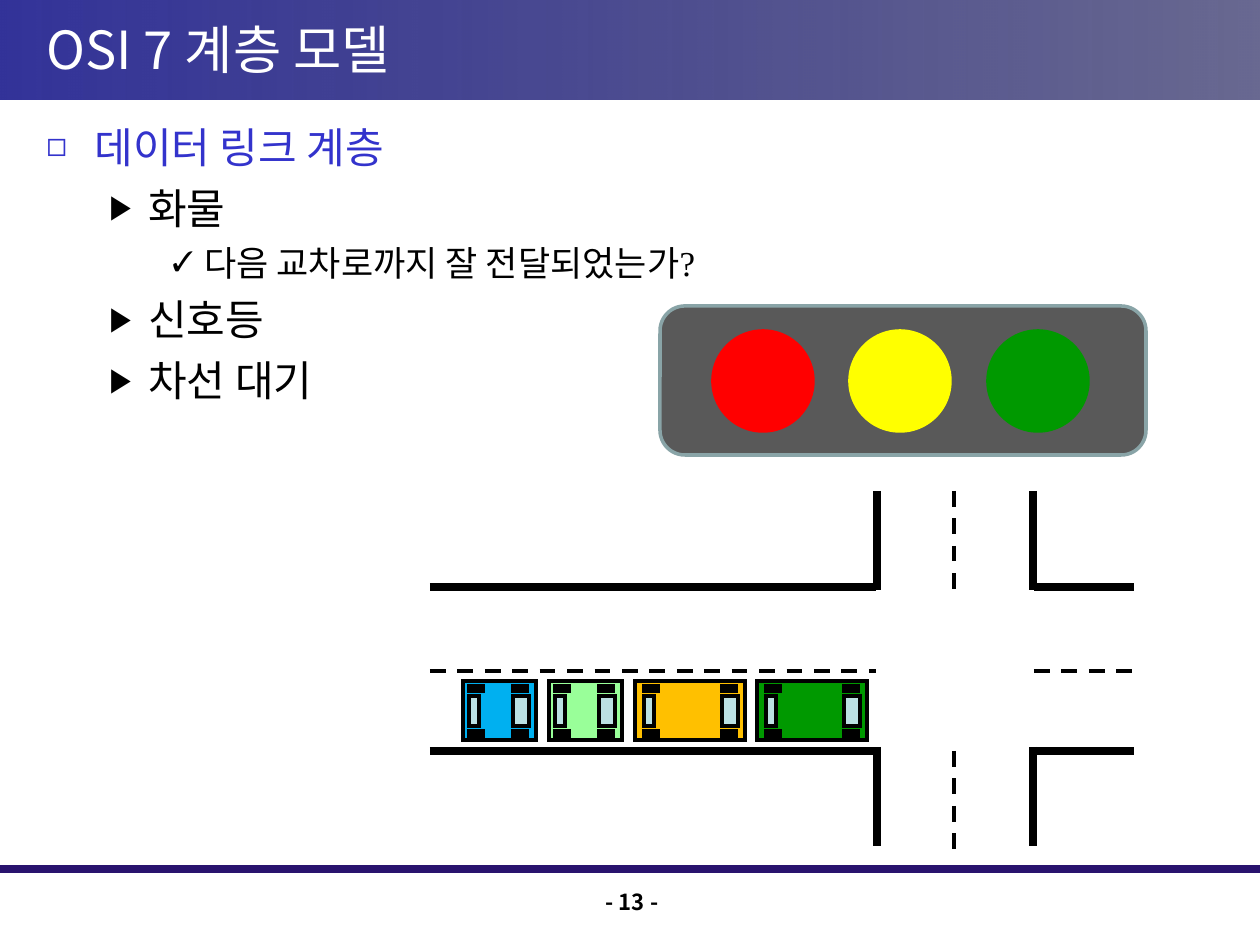
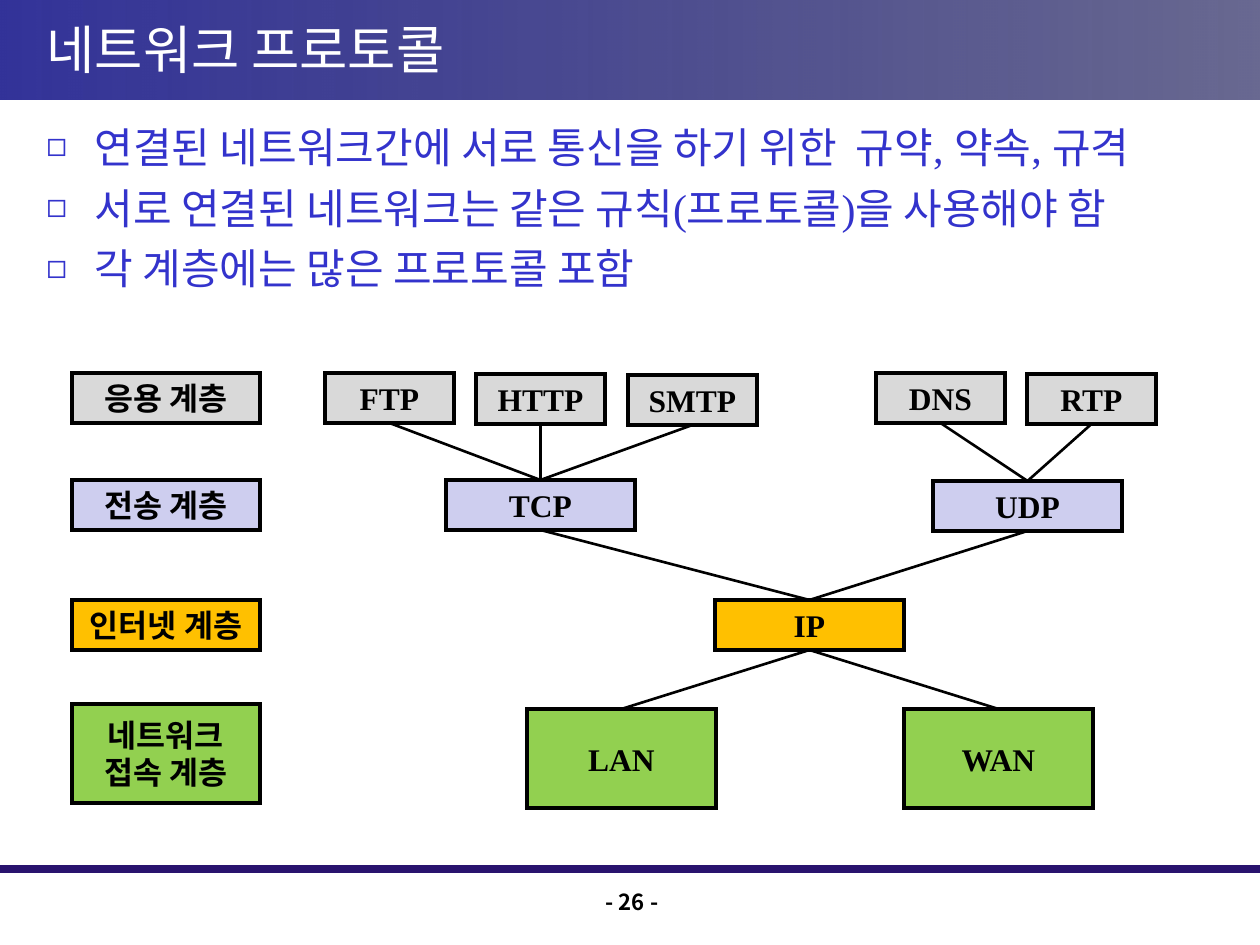
"""Build two lecture slides on network layers and protocols."""
from dataclasses import dataclass
from itertools import product
from typing import NamedTuple

from lxml.etree import SubElement
from pptx import Presentation
from pptx.dml.color import RGBColor
from pptx.enum.dml import MSO_LINE
from pptx.enum.shapes import MSO_CONNECTOR, MSO_SHAPE
from pptx.enum.text import MSO_ANCHOR, PP_ALIGN
from pptx.oxml.ns import qn
from pptx.util import Emu, Pt


@dataclass(frozen=True)
class Theme:
    """Colours, fonts, type sizes and line widths of the deck."""
    black: str = "000000"
    white: str = "FFFFFF"
    band_start: str = "333399"
    band_end: str = "1F1F5C"
    rule: str = "29136E"
    accent: str = "3333CC"
    grey: str = "D9D9D9"
    lilac: str = "CECEEF"
    amber: str = "FFC000"
    lime: str = "92D050"
    red: str = "FF0000"
    yellow: str = "FFFF00"
    green: str = "009900"
    mint: str = "99FF99"
    sky: str = "00B0F0"
    glass: str = "BBE0E3"
    housing: str = "595959"
    housing_edge: str = "89A4A7"
    sans: str = "Noto Sans CJK KR"
    serif: str = "Times New Roman"
    title_size: float = 30
    node_size: float = 18
    footer_size: float = 12.6
    leading: float = 1.2
    heavy: float = 4.5
    dashed: float = 2.25
    outline: float = 2
    thin: float = 1.5


class Frame(NamedTuple):
    """A rectangle in px."""
    left: int
    top: int
    width: int
    height: int


class Level(NamedTuple):
    """The look of one outline level."""
    bullet: str
    color: str
    size: int
    margin: int
    hanging: int
    before: int


class Bullet(NamedTuple):
    """One outline paragraph."""
    level: int
    text: str


class Vehicle(NamedTuple):
    """A vehicle waiting in the lane."""
    left: int
    width: int
    color: str


class Node(NamedTuple):
    """A labelled box of the protocol chart."""
    text: str
    frame: Frame
    color: str


THEME = Theme()
LEVELS = (
    Level("◻", THEME.accent, 24, 48, 48, 6),
    Level("▶", THEME.black, 24, 102, 39, 6),
    Level("✓", THEME.black, 20, 158, 32, 5),
)
VEHICLES = (
    Vehicle(757, 110, THEME.green),
    Vehicle(635, 110, THEME.amber),
    Vehicle(549, 73, THEME.mint),
    Vehicle(463, 73, THEME.sky),
)
NODES = (
    Node("응용 계층", Frame(72, 373, 188, 50), THEME.grey),
    Node("전송 계층", Frame(72, 480, 188, 50), THEME.lilac),
    Node("인터넷 계층", Frame(72, 600, 188, 50), THEME.amber),
    Node("네트워크 접속 계층", Frame(72, 704, 188, 99), THEME.lime),
    Node("FTP", Frame(325, 373, 129, 50), THEME.grey),
    Node("HTTP", Frame(476, 374, 129, 50), THEME.grey),
    Node("SMTP", Frame(628, 375, 129, 50), THEME.grey),
    Node("DNS", Frame(876, 373, 129, 50), THEME.grey),
    Node("RTP", Frame(1027, 374, 129, 50), THEME.grey),
    Node("TCP", Frame(446, 480, 189, 50), THEME.lilac),
    Node("UDP", Frame(933, 481, 189, 50), THEME.lilac),
    Node("IP", Frame(715, 600, 189, 50), THEME.amber),
    Node("LAN", Frame(527, 709, 189, 99), THEME.lime),
    Node("WAN", Frame(904, 709, 189, 99), THEME.lime),
)
LINKS = (
    ("FTP", "TCP"), ("HTTP", "TCP"), ("SMTP", "TCP"),
    ("DNS", "UDP"), ("RTP", "UDP"),
    ("TCP", "IP"), ("UDP", "IP"), ("IP", "LAN"), ("IP", "WAN"),
)


def px(length: int) -> Emu:
    """Turn px into EMU at 126 px to the inch."""
    return Emu(round(length * 914400 / 126))


def rgb(color: str) -> RGBColor:
    """Turn a hex code into a colour."""
    return RGBColor.from_string(color)


def set_font(para, name: str, size: float, color: str, bold: bool = False) -> None:
    """Format a whole paragraph, with the sans face for Korean and no kerning."""
    font = para.font
    font.size, font.bold = Pt(size), bold
    font.color.rgb = rgb(color)
    font.name = name
    defaults = para._p.pPr.find(qn("a:defRPr"))
    defaults.set("kern", "0")
    SubElement(defaults, qn("a:ea"), typeface=THEME.sans)


def add_box(page, frame: Frame, color: str, edge: str = THEME.black,
            kind: MSO_SHAPE = MSO_SHAPE.RECTANGLE):
    """Draw a filled shape with a sharp-cornered outline."""
    box = page.shapes.add_shape(kind, *map(px, frame))
    box.shadow.inherit = False
    box.fill.solid()
    box.fill.fore_color.rgb = rgb(color)
    box.line.color.rgb = rgb(edge)
    box.line.width = Pt(THEME.outline)
    SubElement(box.element.spPr.find(qn("a:ln")), qn("a:miter"), lim="800000")
    return box


def add_line(page, start: tuple[int, int], end: tuple[int, int], width: float,
             color: str = THEME.black, dash: bool = False):
    """Draw a straight line."""
    line = page.shapes.add_connector(MSO_CONNECTOR.STRAIGHT, *map(px, start + end))
    line.line.color.rgb = rgb(color)
    line.line.width = Pt(width)
    if dash:
        line.line.dash_style = MSO_LINE.DASH
    SubElement(line.element.spPr, qn("a:effectLst"))
    return line


def decorate_layout(deck, layout) -> None:
    """Place the title band and the footer rule on the layout."""
    page = deck.slides[0]
    band = add_box(page, Frame(0, 0, 1260, 100), THEME.band_start)
    band.line.fill.background()
    band.fill.gradient()
    band.fill.gradient_angle = 0
    for stop, color in zip(band.fill.gradient_stops, (THEME.band_start, THEME.band_end)):
        stop.color.rgb = rgb(color)
    last_color = band.element.spPr.findall(".//" + qn("a:srgbClr"))[-1]
    SubElement(last_color, qn("a:alpha"), val="67000")
    rule = add_line(page, (0, 869), (1260, 869), THEME.heavy, THEME.rule)
    for number, item in enumerate((band, rule)):
        item.element.xpath(".//p:cNvPr")[0].set("id", str(20 + number))
        layout.shapes.element.insert(2 + number, item.element)


def add_page(deck, layout, title: str, number: int, bullets: tuple[Bullet, ...]):
    """Add a slide with its title, outline and page number."""
    page = deck.slides.add_slide(layout)
    heading = page.shapes.title
    heading.left, heading.top, heading.width, heading.height = map(px, (34, 4, 1191, 89))
    heading.text_frame.text = title
    heading.text_frame.vertical_anchor = MSO_ANCHOR.MIDDLE
    para = heading.text_frame.paragraphs[0]
    para.alignment = PP_ALIGN.LEFT
    set_font(para, THEME.sans, THEME.title_size, THEME.white)
    add_outline(page, bullets)
    footer = page.shapes.add_textbox(*map(px, (485, 887, 294, 45))).text_frame
    footer.word_wrap = True
    para = footer.paragraphs[0]
    para.text = f"- {number} -"
    para.alignment, para.line_spacing = PP_ALIGN.CENTER, 0.8
    set_font(para, THEME.sans, THEME.footer_size, THEME.black, bold=True)
    return page


def add_outline(page, bullets: tuple[Bullet, ...]) -> None:
    """Write the bulleted outline below the title."""
    frame = page.shapes.add_textbox(*map(px, (34, 115, 1191, 745))).text_frame
    frame.word_wrap = True
    for index, bullet in enumerate(bullets):
        level = LEVELS[bullet.level]
        para = frame.add_paragraph() if index else frame.paragraphs[0]
        para.text, para.level = bullet.text, bullet.level
        para.line_spacing = Pt(level.size * THEME.leading)
        para.space_before = Pt(level.before if index else 0)
        properties = para._p.get_or_add_pPr()
        properties.set("marL", str(px(level.margin)))
        properties.set("indent", str(-px(level.hanging)))
        bullet_color = SubElement(properties, qn("a:buClr"))
        SubElement(bullet_color, qn("a:srgbClr"), val=level.color)
        SubElement(properties, qn("a:buSzPct"), val="80000")
        SubElement(properties, qn("a:buFont"), typeface=THEME.serif)
        SubElement(properties, qn("a:buChar"), char=level.bullet)
        set_font(para, THEME.serif, level.size, level.color)


def add_traffic_light(page) -> None:
    """Draw the housing and its three lamps."""
    add_box(page, Frame(660, 306, 486, 149), THEME.housing, THEME.housing_edge,
            MSO_SHAPE.ROUNDED_RECTANGLE)
    for index, color in enumerate((THEME.red, THEME.yellow, THEME.green)):
        lamp = Frame(713 + 275 * index // 2, 331, 100, 100)
        add_box(page, lamp, color, color, MSO_SHAPE.OVAL)


def add_crossroads(page) -> None:
    """Draw road edges and dashed centre lines."""
    for (left, right), y in product(((430, 876), (1034, 1134)), (587, 751)):
        add_line(page, (left, y), (right, y), THEME.heavy)
    for left, right in ((430, 876), (1034, 1134)):
        add_line(page, (left, 671), (right, 671), THEME.dashed, dash=True)
    for x, top in product((877, 1033), (491, 747)):
        add_line(page, (x, top), (x, top + 99), THEME.heavy)
    for top in (491, 751):
        add_line(page, (954, top), (954, top + 99), THEME.dashed, dash=True)


def add_vehicle(page, vehicle: Vehicle) -> None:
    """Draw a vehicle from above with wheels and windows."""
    add_box(page, Frame(vehicle.left, 681, vehicle.width, 59), vehicle.color)
    rear = vehicle.left + vehicle.width // 12
    front = vehicle.left + vehicle.width - 23
    for x, y in product((rear, front), (686, 731)):
        add_box(page, Frame(x, y, 14, 5), THEME.black)
    for x, width in ((rear, 10), (front, 16)):
        add_box(page, Frame(x, 696, width, 30), THEME.glass)


def add_node(page, node: Node):
    """Draw a labelled box."""
    box = add_box(page, node.frame, node.color)
    box.text_frame.word_wrap = True
    box.text_frame.vertical_anchor = MSO_ANCHOR.MIDDLE
    para = box.text_frame.paragraphs[0]
    para.text, para.alignment = node.text, PP_ALIGN.CENTER
    para.line_spacing = Pt(THEME.node_size * THEME.leading)
    set_font(para, THEME.serif, THEME.node_size, THEME.black, bold=True)
    return box


def add_protocol_chart(page) -> None:
    """Draw the protocol boxes and join them bottom to top."""
    boxes = {node.text: add_node(page, node) for node in NODES}
    for upper, lower in LINKS:
        link = add_line(page, (0, 0), (0, 0), THEME.thin)
        link.begin_connect(boxes[upper], 2)
        link.end_connect(boxes[lower], 0)


def main() -> None:
    """Build and save the deck."""
    deck = Presentation()
    deck.slide_width, deck.slide_height = px(1260), px(945)
    layout = deck.slide_layouts[5]
    road_page = add_page(deck, layout, "OSI 7 계층 모델", 13, (
        Bullet(0, "데이터 링크 계층"),
        Bullet(1, "화물"),
        Bullet(2, "다음 교차로까지 잘 전달되었는가?"),
        Bullet(1, "신호등"),
        Bullet(1, "차선 대기"),
    ))
    decorate_layout(deck, layout)
    add_traffic_light(road_page)
    add_crossroads(road_page)
    for vehicle in VEHICLES:
        add_vehicle(road_page, vehicle)
    protocol_page = add_page(deck, layout, "네트워크 프로토콜", 26, (
        Bullet(0, "연결된 네트워크간에 서로 통신을 하기 위한  규약, 약속, 규격"),
        Bullet(0, "서로 연결된 네트워크는 같은 규칙(프로토콜)을 사용해야 함"),
        Bullet(0, "각 계층에는 많은 프로토콜 포함"),
    ))
    add_protocol_chart(protocol_page)
    deck.save("out.pptx")


if __name__ == "__main__":
    main()
